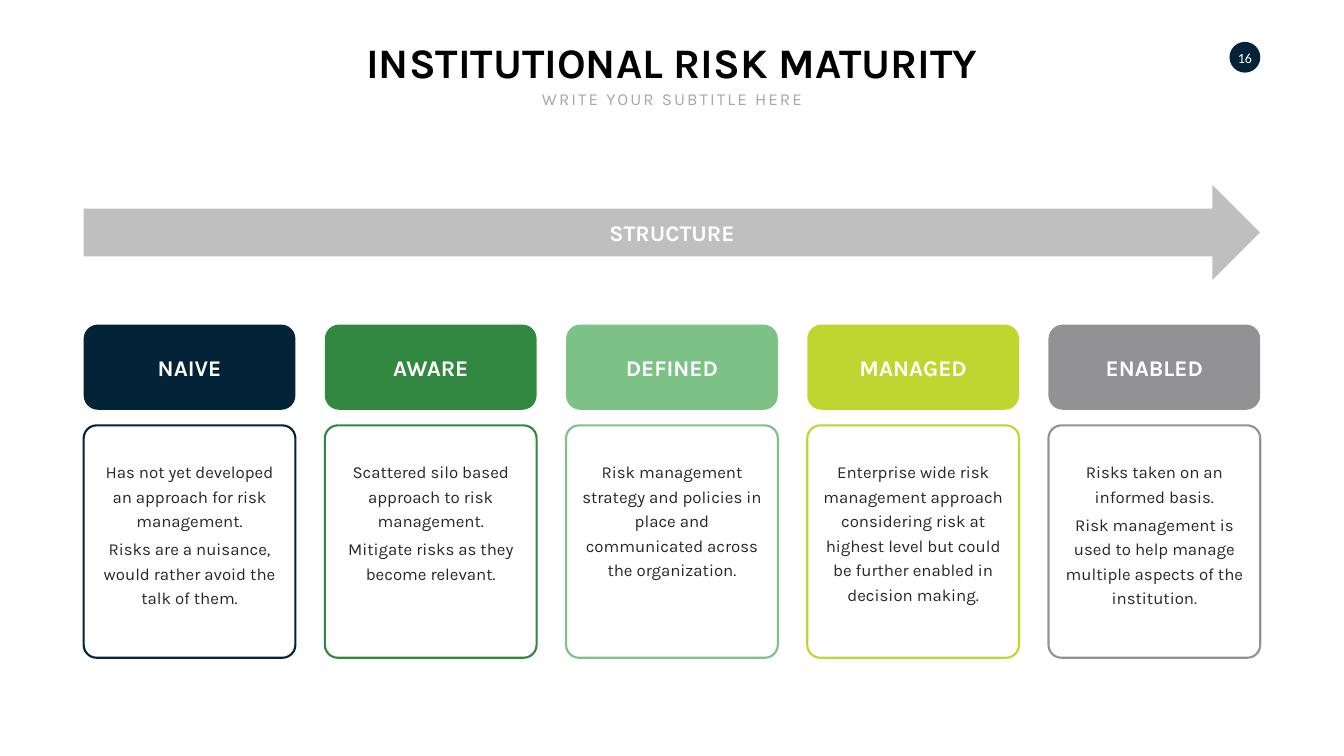
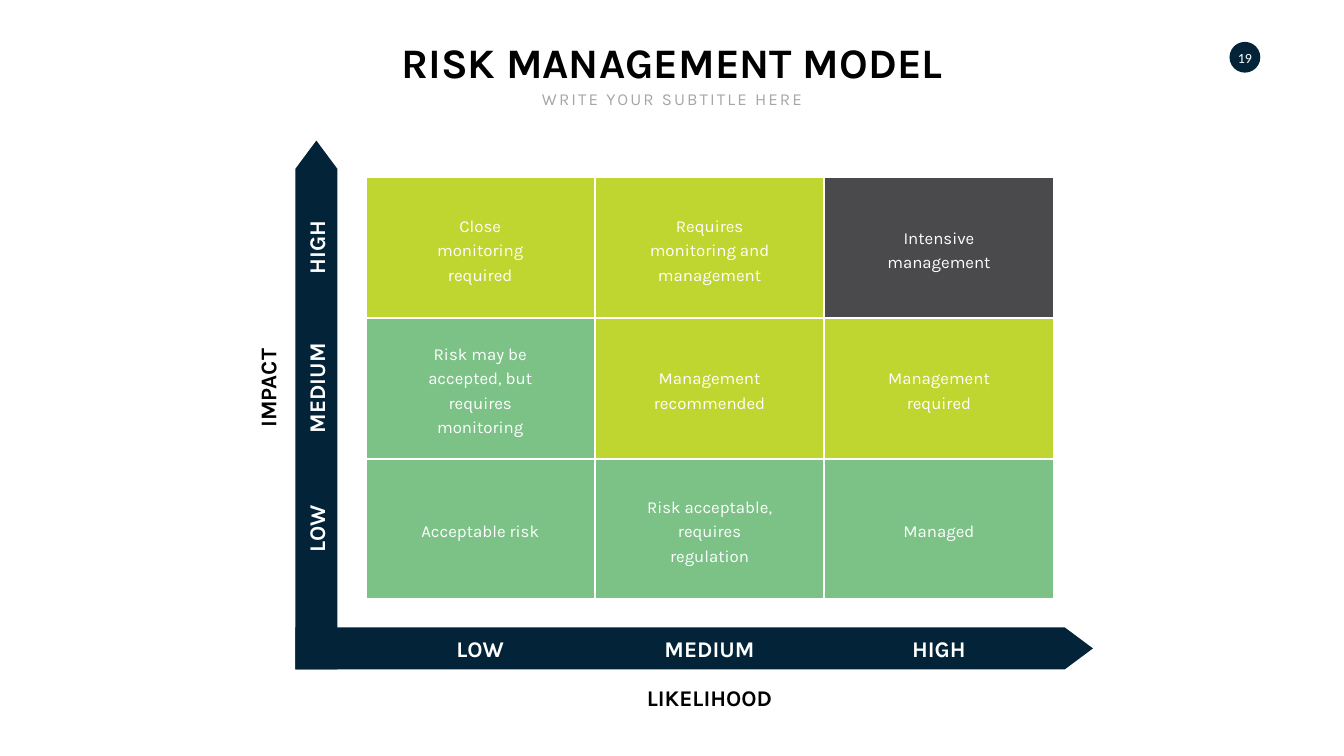
from pptx import Presentation
from pptx.dml.color import RGBColor
from pptx.enum.shapes import MSO_SHAPE
from pptx.enum.text import MSO_ANCHOR, MSO_AUTO_SIZE, PP_ALIGN
from pptx.util import Pt

NAVY, GREEN, MINT, LIME = "022338", "328840", "7CC287", "BED62F"
GREY, CHARCOAL, SILVER, PALE = "929294", "4A4A4C", "BFBFBF", "A6A6A6"
BLACK, WHITE, INK = "000000", "FFFFFF", "272727"

SLIDE_WIDTH, SLIDE_HEIGHT = 1919.52, 1080
CENTER = SLIDE_WIDTH / 2
LEFT_MARGIN = 119.5
LINE_HEIGHT = 35
PARAGRAPH_GAP = 4.8


def color(value):
    return RGBColor.from_string(value)


class Deck:
    font = "Karla"

    def __init__(self):
        self.presentation = Presentation()
        self.presentation.slide_width = Pt(SLIDE_WIDTH)
        self.presentation.slide_height = Pt(SLIDE_HEIGHT)
        self.slide = None

    def place(self, shape, left, top, width, height):
        shape.left, shape.top = Pt(left), Pt(top)
        shape.width, shape.height = Pt(width), Pt(height)

    def add_text(self, shape, paragraphs, size, text_color, bold=False, font=None,
                 anchor=MSO_ANCHOR.TOP, wrap=False, line_spacing=None, tracking=0):
        """Fill a shape's text frame with centred paragraphs."""
        frame = shape.text_frame
        frame.word_wrap = wrap
        frame.auto_size = MSO_AUTO_SIZE.SHAPE_TO_FIT_TEXT
        frame.vertical_anchor = anchor
        for index, text in enumerate(paragraphs):
            paragraph = frame.add_paragraph() if index else frame.paragraphs[0]
            paragraph.alignment = PP_ALIGN.CENTER
            paragraph.space_before = Pt(PARAGRAPH_GAP if index else 0)
            if line_spacing:
                paragraph.line_spacing = Pt(line_spacing)
            run = paragraph.add_run()
            run.text = text
            run.font.name = font or self.font
            run.font.size = Pt(size)
            run.font.bold = bold
            run.font.color.rgb = color(text_color)
            if tracking:
                run.font._element.set("spc", str(tracking * 100))

    def text_box(self, left, top, width, height):
        return self.slide.shapes.add_textbox(Pt(left), Pt(top), Pt(width), Pt(height))

    def shape(self, kind, left, top, width, height, fill, line=None, adjustments=()):
        shape = self.slide.shapes.add_shape(kind, Pt(left), Pt(top), Pt(width), Pt(height))
        shape.shadow.inherit = False
        shape.fill.solid()
        shape.fill.fore_color.rgb = color(fill)
        if line:
            shape.line.color.rgb = color(line)
            shape.line.width = Pt(3)
        else:
            shape.line.fill.background()
        for index, value in enumerate(adjustments):
            shape.adjustments[index] = value
        return shape

    def label(self, text, center_x, center_y, width, text_color=WHITE, rotation=0):
        """Bold one-line caption centred on a point."""
        height = 46
        box = self.text_box(center_x - width / 2, center_y - height / 2, width, height)
        box.rotation = rotation
        self.add_text(box, [text], 32, text_color, bold=True, anchor=MSO_ANCHOR.MIDDLE)

    def body(self, paragraphs, left, top, width, lines, text_color, anchor=MSO_ANCHOR.TOP):
        height = lines * LINE_HEIGHT + 5 + PARAGRAPH_GAP * (len(paragraphs) - 1)
        box = self.text_box(left, top, width, height)
        self.add_text(box, paragraphs, 24, text_color, anchor=anchor, wrap=True,
                      line_spacing=LINE_HEIGHT)

    def page_badge(self, number):
        self.shape(MSO_SHAPE.OVAL, 1756, 59.8, 44, 44, NAVY)
        box = self.text_box(1763.3, 69.8, 29.5, 24.5)
        frame = box.text_frame
        frame.margin_left = frame.margin_right = frame.margin_top = frame.margin_bottom = 0
        self.add_text(box, [number], 20, WHITE, font="Calibri", anchor=MSO_ANCHOR.MIDDLE)

    def add_slide(self, title, title_width, number):
        self.slide = self.presentation.slides.add_slide(self.presentation.slide_layouts[0])
        heading, subtitle = self.slide.placeholders
        self.place(heading, CENTER - title_width / 2, 48.2, title_width, 80)
        self.add_text(heading, [title], 60, BLACK, bold=True)
        self.place(subtitle, CENTER - 195.5, 123.8, 391, 36)
        self.add_text(subtitle, ["WRITE YOUR SUBTITLE HERE"], 24, PALE, tracking=3)
        self.page_badge(number)


def add_maturity_slide(deck):
    deck.add_slide("INSTITUTIONAL RISK MATURITY", 943, "16")
    deck.shape(MSO_SHAPE.RIGHT_ARROW, LEFT_MARGIN, 264.2, 1680, 136, SILVER)
    deck.label("STRUCTURE", CENTER, 332, 202)

    # name, label width, colour, body lines, body paragraphs
    stages = [
        ("NAIVE", 113, NAVY, 6,
         ["Has not yet developed an approach for risk management.",
          "Risks are a nuisance, would rather avoid the talk of them."]),
        ("AWARE", 134.6, GREEN, 5,
         ["Scattered silo based approach to risk management.",
          "Mitigate risks as they become relevant."]),
        ("DEFINED", 147.6, MINT, 5,
         ["Risk management strategy and policies in place and communicated "
          "across the organization."]),
        ("MANAGED", 181.4, LIME, 6,
         ["Enterprise wide risk management approach considering risk at highest "
          "level but could be further enabled in decision making."]),
        ("ENABLED", 157.7, GREY, 6,
         ["Risks taken on an informed basis.",
          "Risk management is used to help manage multiple aspects of the institution."]),
    ]
    width, pitch, padding = 302.4, 344.5, 15.5
    for index, (name, label_width, fill, lines, paragraphs) in enumerate(stages):
        left = LEFT_MARGIN + index * pitch
        deck.shape(MSO_SHAPE.ROUNDED_RECTANGLE, left, 463.7, width, 121.7, fill)
        deck.label(name, left + width / 2, 524.9, label_width)
        deck.shape(MSO_SHAPE.ROUNDED_RECTANGLE, left, 607.7, width, 332, WHITE,
                   line=fill, adjustments=[0.061])
        deck.body(paragraphs, left + padding, 650.2, width - 2 * padding, lines, INK)


def add_model_slide(deck):
    deck.add_slide("RISK MANAGEMENT MODEL", 826, "19")

    # text, lines, colour; rows run from high to low impact
    matrix = [
        [("Close monitoring required", 3, LIME),
         ("Requires monitoring and management", 3, LIME),
         ("Intensive management", 2, CHARCOAL)],
        [("Risk may be accepted, but requires monitoring", 4, MINT),
         ("Management recommended", 2, LIME),
         ("Management required", 2, LIME)],
        [("Acceptable risk", 1, MINT),
         ("Risk acceptable, requires regulation", 3, MINT),
         ("Managed", 1, MINT)],
    ]
    left, top, width, height, text_width = 522, 253.4, 327.6, 200.9, 202.3
    column_centers = [left + (index + 0.5) * width for index in range(3)]
    row_centers = [top + (index + 0.5) * height for index in range(3)]
    for row, center_y in zip(matrix, row_centers):
        for (text, lines, fill), center_x in zip(row, column_centers):
            deck.shape(MSO_SHAPE.RECTANGLE, center_x - width / 2, center_y - height / 2,
                       width, height, fill, line=WHITE)
            deck.body([text], center_x - text_width / 2,
                      center_y - (lines * LINE_HEIGHT + 5) / 2,
                      text_width, lines, WHITE, MSO_ANCHOR.MIDDLE)

    thickness, arrow_shape = 59.8, [1, 0.672]
    deck.shape(MSO_SHAPE.RIGHT_ARROW, 422, 896.4, 1139, thickness, NAVY,
               adjustments=arrow_shape)
    impact_arrow = deck.shape(MSO_SHAPE.RIGHT_ARROW, 74.2, 548.6, 755.3, thickness, NAVY,
                              adjustments=arrow_shape)
    impact_arrow.rotation = 270

    levels = [("LOW", 89.3), ("MEDIUM", 147), ("HIGH", 95.8)]
    for (level, label_width), center_x, center_y in zip(
            levels, column_centers, reversed(row_centers)):
        deck.label(level, center_x, 926, label_width)
        deck.label(level, 451.5, center_y, label_width, rotation=270)
    deck.label("LIKELIHOOD", column_centers[1], 995.8, 202.3, BLACK)
    deck.label("IMPACT", 382, row_centers[1], 141.8, BLACK, rotation=270)


def main():
    deck = Deck()
    add_maturity_slide(deck)
    add_model_slide(deck)
    deck.presentation.save("out.pptx")


if __name__ == "__main__":
    main()
